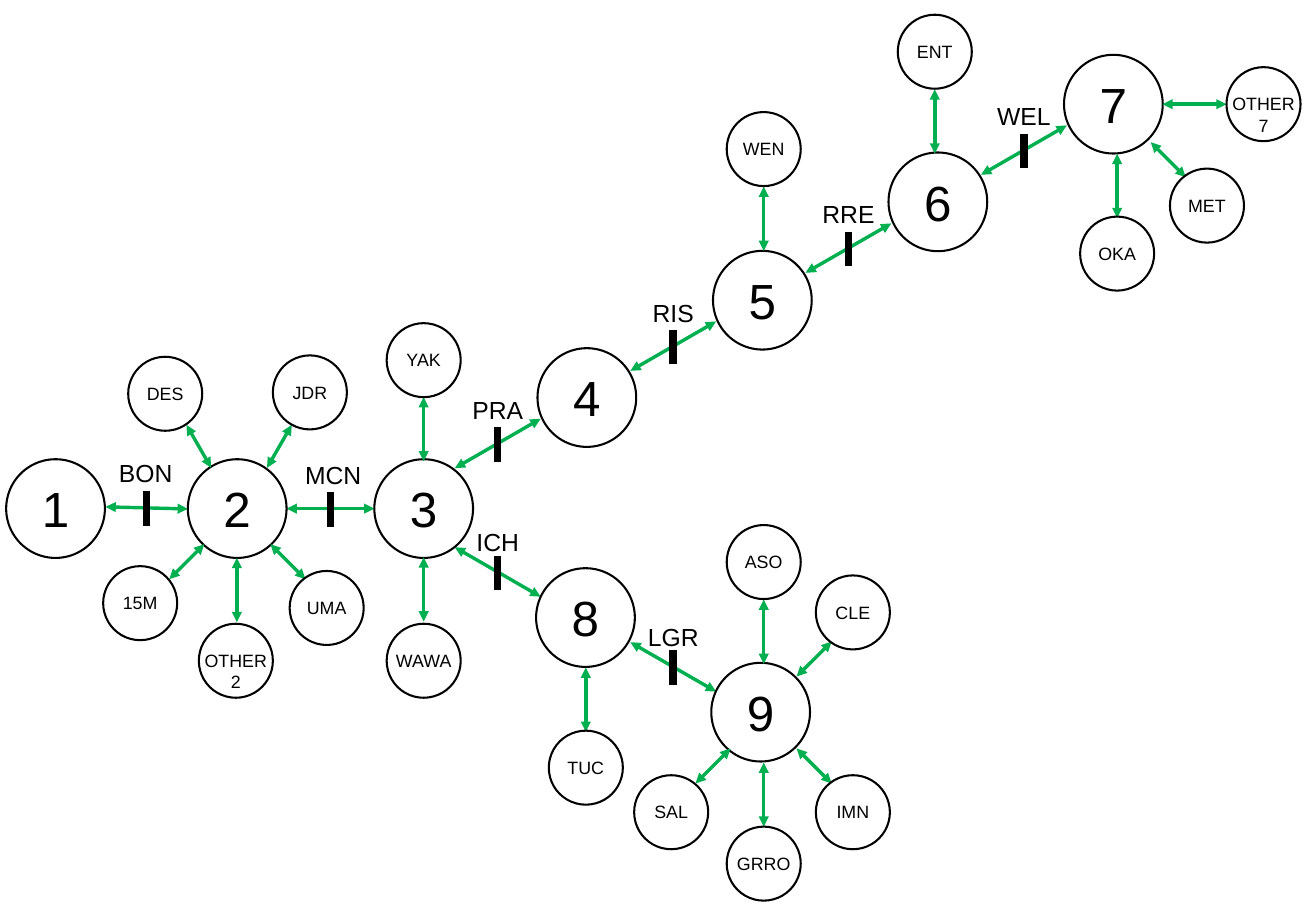
from pptx import Presentation
from pptx.dml.color import RGBColor as Rgb
from pptx.enum.shapes import MSO_CONNECTOR as Link, MSO_SHAPE as Form
from pptx.enum.text import MSO_ANCHOR as Anchor, PP_ALIGN as Align
from pptx.oxml.ns import qn
from pptx.util import Pt
from lxml.etree import SubElement as Sub

BLACK, GREEN = "000000", "00B050"
ZONE, AREA = 144, 108  # circle diameters

# Number, centre x, centre y
ZONES = [
    ("1", 81, 742), ("2", 346, 742), ("3", 618, 742),
    ("4", 856, 580), ("5", 1112, 438), ("6", 1368, 294.5),
    ("7", 1624, 152), ("8", 854, 901), ("9", 1109.5, 1039),
]

# Name, link centre, link run and rise, label centre, label top
GATES = [
    ("BON", 214, 741, 120, 3, 212.5, 664),
    ("MCN", 482, 742, 128, 0, 486, 668),
    ("PRA", 726, 647, 125, -72, 726, 572),
    ("RIS", 982, 505, 125, -72, 982, 430.5),
    ("RRE", 1237.5, 362, 125, -72, 1237.5, 287),
    ("WEL", 1493.5, 219, 125, -72, 1493.5, 144),
    ("ICH", 726, 834.5, 125, 72, 726, 765.5),
    ("LGR", 982, 973, 125, 72, 982, 903.5),
]

# Arrow run and rise for each heading
WAYS = {
    "N": (0, -93.6), "S": (0, 93.6), "E": (93.6, 0),
    "NE": (51, -51), "SE": (51, 51), "SW": (-51, 51),
    "NNE": (36, -62.5), "NNW": (-36, -62.5),
}

# Name, circle centre, arrow start, heading
AREAS = [
    ("DES", 241, 574.5, 308, 682.5, "NNW"),
    ("JDR", 452, 572.5, 389.5, 682.5, "NNE"),
    ("15M", 204.5, 880, 298, 794, "SW"),
    ("OTHER\n2", 344, 964, 345.5, 814, "S"),
    ("UMA", 476.5, 887, 394.5, 794, "SE"),
    ("YAK", 618, 525.5, 618, 673, "N"),
    ("WAWA", 618, 964, 618, 813, "S"),
    ("TUC", 854.5, 1120, 854.5, 974, "S"),
    ("WEN", 1114, 217.5, 1114, 366, "N"),
    ("ENT", 1363.5, 75.5, 1363.5, 224, "N"),
    ("OTHER\n7", 1843, 152, 1695.5, 152, "E"),
    ("MET", 1760.5, 300, 1678.5, 207.5, "SE"),
    ("OKA", 1629.5, 370, 1629.5, 224.5, "S"),
    ("ASO", 1114, 820, 1114, 968.5, "N"),
    ("CLE", 1244, 893.5, 1162, 987, "NE"),
    ("IMN", 1244, 1185, 1162, 1092, "SE"),
    ("GRRO", 1114, 1260, 1114, 1112.5, "S"),
    ("SAL", 979, 1185, 1065.5, 1092, "SW"),
]


def color(fmt, code):
    fmt.rgb = Rgb.from_string(code)


def apply(item, vals):
    for key, val in vals.items():
        setattr(item, key, val)


def write(frame, text, size, **vals):
    frame.text = text
    apply(frame, vals)
    for para in frame.paragraphs:
        para.alignment = Align.CENTER
        apply(para.font, {"name": "Arial", "size": Pt(size)})
        color(para.font.color, BLACK)


def circle(shapes, text, x, y, width, size, inset):
    ring = shapes.add_shape(Form.OVAL, Pt(x - width / 2), Pt(y - width / 2),
                            Pt(width), Pt(width))
    ring.shadow.inherit = False
    ring.fill.background()
    ring.line.width = Pt(3)
    color(ring.line.color, BLACK)
    write(ring.text_frame, text, size, word_wrap=False,
          vertical_anchor=Anchor.TOP, margin_top=Pt(inset))


def line(shapes, x, y, run, rise, code, width, heads=()):
    link = shapes.add_connector(Link.STRAIGHT, Pt(x), Pt(y),
                                Pt(x + run), Pt(y + rise))
    link.line.width = Pt(width)
    color(link.line.color, code)
    props = link.line._get_or_add_ln()
    for head in heads:
        Sub(props, qn("a:" + head), type="triangle")
    Sub(link._element.spPr, qn("a:effectLst"))


def arrow(shapes, x, y, run, rise):
    line(shapes, x, y, run, rise, GREEN, 5, ("headEnd", "tailEnd"))


def gate(shapes, name, x, y, run, rise, mid, top):
    arrow(shapes, x - run / 2, y - rise / 2, run, rise)
    line(shapes, x, y - 24, 0, 50.5, BLACK, 11)
    box = shapes.add_textbox(Pt(mid - 78.5), Pt(top), Pt(157), Pt(51))
    write(box.text_frame, name, 36, word_wrap=True)


def main():
    deck = Presentation()
    apply(deck, {"slide_width": Pt(1919.52), "slide_height": Pt(1332)})
    shapes = deck.slides.add_slide(deck.slide_layouts[6]).shapes

    # Gates between zones
    for row in GATES:
        gate(shapes, *row)

    # Numbered zones
    for text, x, y in ZONES:
        circle(shapes, text, x, y, ZONE, 72, 7)

    # Areas around the zones
    for text, x, y, left, top, way in AREAS:
        arrow(shapes, left, top, *WAYS[way])
        circle(shapes, text, x, y, AREA, 26, 22)

    deck.save("out.pptx")


if __name__ == "__main__":
    main()
